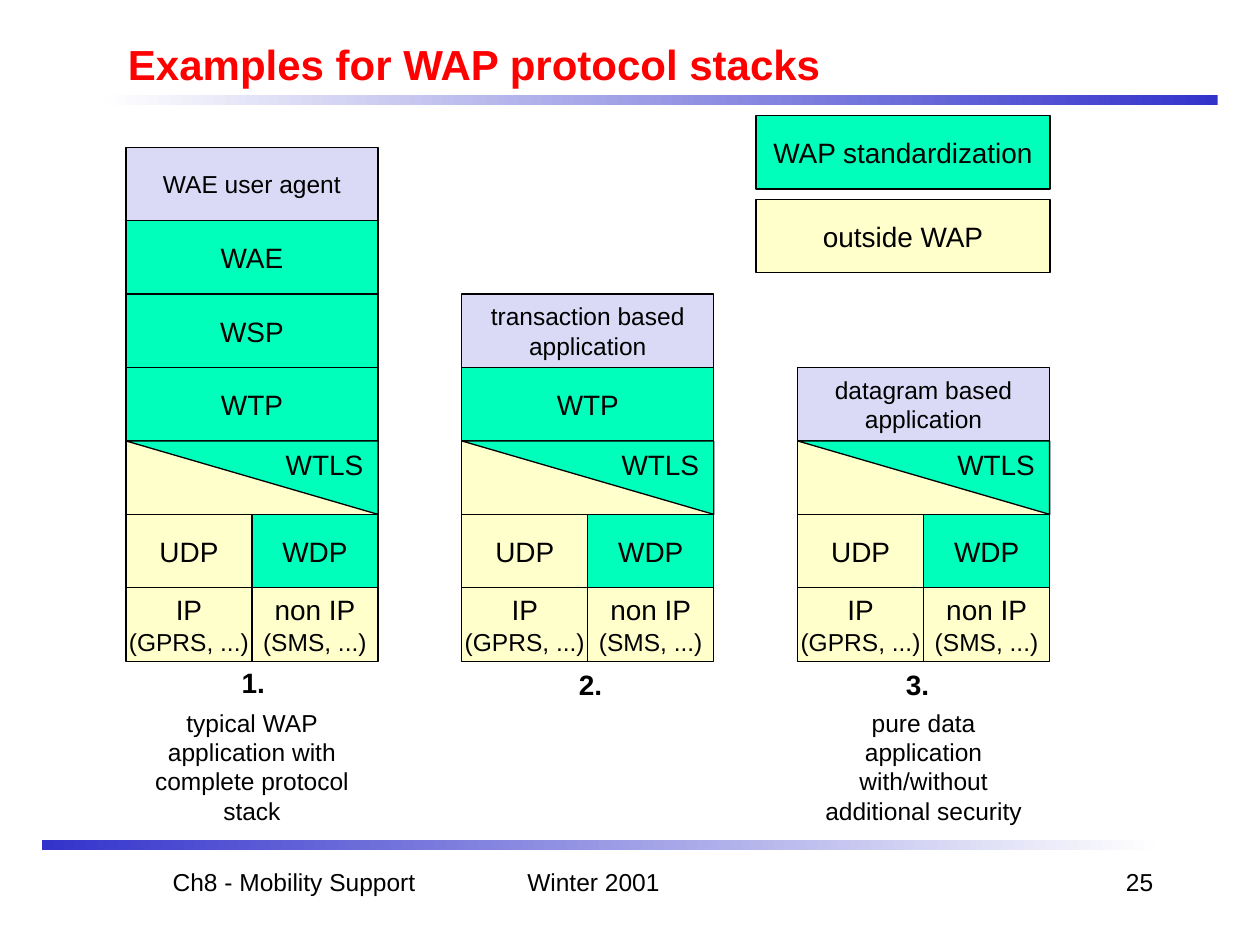
from collections import namedtuple
from dataclasses import dataclass

from pptx import Presentation
from pptx.dml.color import RGBColor
from pptx.enum.shapes import MSO_SHAPE
from pptx.enum.text import MSO_ANCHOR, MSO_AUTO_SIZE, PP_ALIGN
from pptx.util import Cm, Pt


@dataclass(frozen=True)
class Theme:
    font: str = "Arial"
    ink: str = "000000"
    heading: str = "FF0000"
    wap: str = "01FFBC"
    outside: str = "FFFFCC"
    application: str = "DADAF6"
    rule_dark: str = "3333CC"
    rule_light: str = "FEFEFE"
    title_size: int = 24
    label_size: int = 16
    small_size: int = 14
    outline: float = 0.75


THEME = Theme()
Box = namedtuple("Box", "left top width height")  # centimetres

ROW = 1.48
STACK_WIDTH = 5.08
STACK_LEFT, STACK_PITCH, STACK_BASE = 2.54, 6.77, 13.33

# Application lines, layers above WTLS, number, number offset, caption
STACKS = [
    (["WAE user agent"], ["WAE", "WSP", "WTP"], "1.", (2.08, -0.05),
     "typical WAP application with complete protocol stack"),
    (["transaction based", "application"], ["WTP"], "2.", (2.11, 0), None),
    (["datagram based", "application"], [], "3.", (1.93, 0),
     "pure data application with/without additional security"),
]


def apply(target, formats):
    for name, value in formats.items():
        setattr(target, name, value)


def write(frame, lines, sizes, align=PP_ALIGN.CENTER, anchor=MSO_ANCHOR.MIDDLE,
          wrap=False, bold=False, color=THEME.ink):
    """Write one paragraph per line, each with its own type size."""
    apply(frame, {"auto_size": MSO_AUTO_SIZE.NONE, "word_wrap": wrap,
                  "vertical_anchor": anchor,
                  "margin_left": Cm(0.25), "margin_right": Cm(0.25),
                  "margin_top": Cm(0.13), "margin_bottom": Cm(0.13)})
    frame.text = "\n".join(lines)
    for paragraph, size in zip(frame.paragraphs, sizes):
        paragraph.alignment = align
        for run in paragraph.runs:
            apply(run.font, {"name": THEME.font, "size": Pt(size), "bold": bold})
            run.font.color.rgb = RGBColor.from_string(color)


def paint(shape, fill):
    shape.shadow.inherit = False
    shape.fill.solid()
    shape.fill.fore_color.rgb = RGBColor.from_string(fill)
    shape.line.color.rgb = RGBColor.from_string(THEME.ink)
    shape.line.width = Pt(THEME.outline)


def add_block(slide, box, fill, lines=(), sizes=(THEME.label_size,)):
    block = slide.shapes.add_shape(MSO_SHAPE.RECTANGLE, *map(Cm, box))
    paint(block, fill)
    if lines:
        write(block.text_frame, lines, sizes)


def add_label(slide, box, text, size, **formats):
    label = slide.shapes.add_textbox(*map(Cm, box))
    write(label.text_frame, [text], [size], **formats)


def add_rule(slide, box, right_color, left_color):
    rule = slide.shapes.add_shape(MSO_SHAPE.RECTANGLE, *map(Cm, box))
    rule.shadow.inherit = False
    rule.line.fill.background()
    rule.fill.gradient()
    rule.fill.gradient_angle = 180
    for stop, color in zip(rule.fill.gradient_stops, (right_color, left_color)):
        stop.color.rgb = RGBColor.from_string(color)


def add_header(slide, box):
    add_rule(slide, Box(box.left - 0.22, box.top + 1.27, 22.44, 0.21),
             THEME.rule_dark, THEME.rule_light)
    title = slide.shapes.title
    apply(title, dict(zip(box._fields, map(Cm, box))))
    write(title.text_frame, ["Examples for WAP protocol stacks"], [THEME.title_size],
          align=PP_ALIGN.LEFT, wrap=True, bold=True, color=THEME.heading)


def add_footer(slide, box):
    add_rule(slide, Box(box.left, box.top, box.width, 0.21),
             THEME.rule_light, THEME.rule_dark)
    for text, left, width, align in [
        ("Ch8 - Mobility Support", 1.06, 8.04, PP_ALIGN.CENTER),
        ("Winter 2001", 9.53, 5.29, PP_ALIGN.LEFT),
        ("25", 17.36, 5.29, PP_ALIGN.RIGHT),
    ]:
        add_label(slide, Box(box.left + left, box.top + 0.42, width, 1.27), text,
                  THEME.small_size, align=align, anchor=MSO_ANCHOR.TOP, wrap=True)


def add_legend(slide, box):
    gap = box.height - 2 * ROW
    for index, (text, fill) in enumerate([("WAP standardization", THEME.wap),
                                          ("outside WAP", THEME.outside)]):
        add_block(slide, Box(box.left, box.top + index * (ROW + gap), box.width, ROW),
                  fill, [text])


def add_security_layer(slide, box):
    """Split the row diagonally between no security and WTLS."""
    add_block(slide, box, THEME.outside)
    left, top = Cm(box.left), Cm(box.top)
    right, bottom = Cm(box.left + box.width), Cm(box.top + box.height)
    outline = slide.shapes.build_freeform(left, top)
    outline.add_line_segments([(right, top), (right, bottom)], close=True)
    paint(outline.convert_to_shape(), THEME.wap)
    add_label(slide, Box(box.left + 2.97, box.top, 2.06, 0.93), "WTLS",
              THEME.label_size, align=PP_ALIGN.LEFT, anchor=MSO_ANCHOR.TOP)


def add_bearers(slide, box):
    """Place the two-by-two grid of transport and bearer cells."""
    width, height = box.width / 2, box.height / 2
    cells = [[(["UDP"], THEME.outside), (["WDP"], THEME.wap)],
             [(["IP", "(GPRS, ...)"], THEME.outside),
              (["non IP", "(SMS, ...)"], THEME.outside)]]
    for row, pair in enumerate(cells):
        for column, (lines, fill) in enumerate(pair):
            add_block(slide, Box(box.left + column * width, box.top + row * height,
                                 width, height),
                      fill, lines, (THEME.label_size, THEME.small_size))


def add_stack(slide, box, application, layers, number, number_offset, caption):
    def rows(first, count=1):
        return Box(box.left, box.top + first * ROW, box.width, count * ROW)

    # Application and WAP layers
    add_block(slide, rows(0), THEME.application, application, [THEME.small_size] * 2)
    for index, layer in enumerate(layers, 1):
        add_block(slide, rows(index), THEME.wap, [layer])

    # Security, transport and bearers
    security = len(layers) + 1
    add_security_layer(slide, rows(security))
    add_bearers(slide, rows(security + 1, 2))

    # Number and caption
    base = box.top + box.height
    add_label(slide, Box(box.left + number_offset[0], base + number_offset[1], 0.97, 0.93),
              number, THEME.label_size, align=PP_ALIGN.LEFT,
              anchor=MSO_ANCHOR.TOP, bold=True)
    if caption:
        add_label(slide, Box(box.left, base + 0.85, box.width, 2.54), caption,
                  THEME.small_size, wrap=True)


def main():
    deck = Presentation()
    deck.slide_width, deck.slide_height = Cm(25.4), Cm(19.05)
    slide = deck.slides.add_slide(deck.slide_layouts[5])

    add_header(slide, Box(2.33, 0.64, 21.59, 1.27))
    for index, stack in enumerate(STACKS):
        height = (len(stack[1]) + 4) * ROW
        add_stack(slide, Box(STACK_LEFT + index * STACK_PITCH, STACK_BASE - height,
                             STACK_WIDTH, height), *stack)
    add_legend(slide, Box(15.24, 2.33, 5.93, 3.17))
    add_footer(slide, Box(0.85, 16.93, 22.44, 1.69))

    deck.save("out.pptx")


if __name__ == "__main__":
    main()
